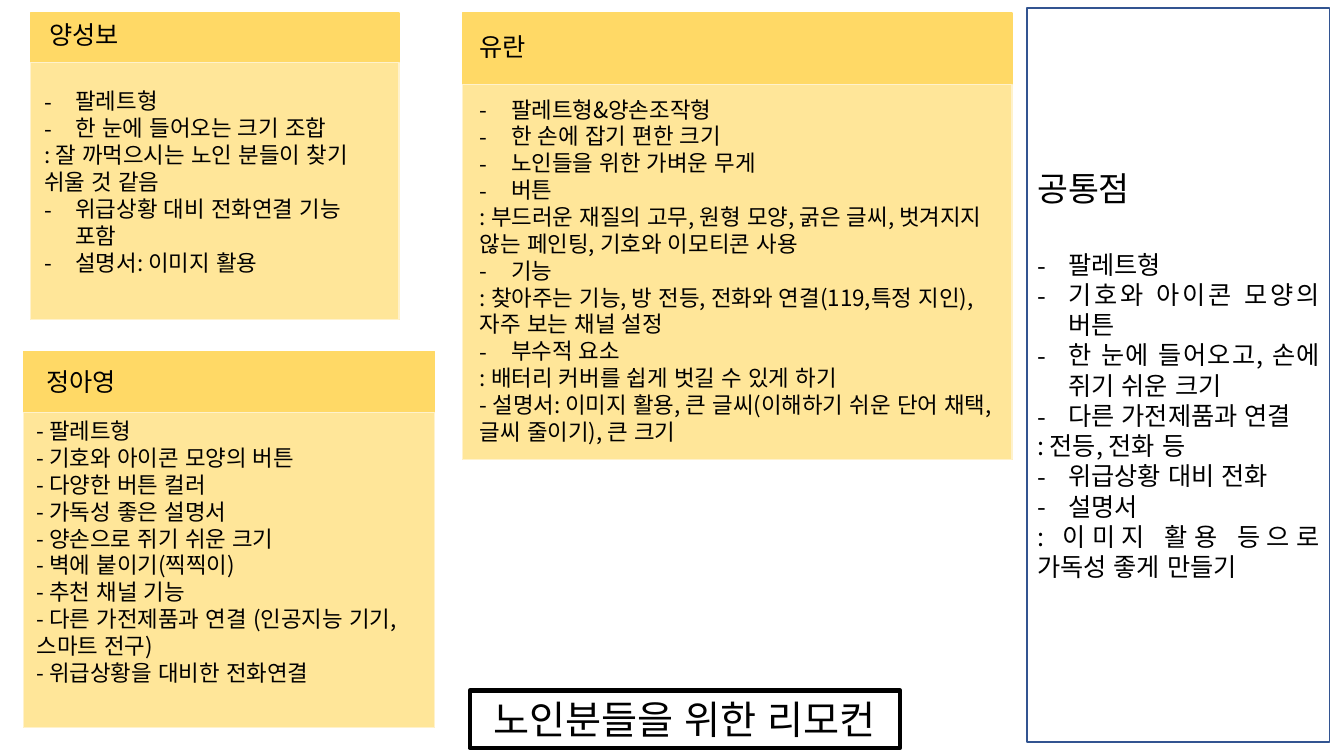
import pptx
import pptx.dml.color
import pptx.enum.lang
import pptx.enum.shapes
import pptx.enum.text
import pptx.oxml.ns
import pptx.util

RGBColor = pptx.dml.color.RGBColor
ALIGN = pptx.enum.text.PP_ALIGN
ANCHOR = pptx.enum.text.MSO_ANCHOR
RECTANGLE = pptx.enum.shapes.MSO_SHAPE.RECTANGLE

BLACK = RGBColor(0x00, 0x00, 0x00)
WHITE = RGBColor(0xFF, 0xFF, 0xFF)
GOLD = RGBColor(0xFF, 0xD9, 0x66)
SAND = RGBColor(0xFF, 0xE6, 0x99)
CREAM = RGBColor(0xFF, 0xF2, 0xCC)
NAVY = RGBColor(0x32, 0x54, 0x91)

FONT = "Noto Sans CJK KR"
LINE_HEIGHT = 1.2
WIDTH = pptx.util.Inches(13.33)
HEIGHT = pptx.util.Inches(7.5)
INDENT = pptx.util.Inches(0.31)

CARDS = [
    {
        "box": (2.25, 1.73, 27.45, 40.53), "header": 6.53,
        "name": "양성보", "name_box": (0.68, 0.13, 8.7, 5.33),
        "body_box": (0.3, 9.2, 26.78, 26.53),
        "ideas": [
            "팔레트형",
            "한 눈에 들어오는 크기 조합",
            ": 잘 까먹으시는 노인 분들이 찾기 쉬울 것 같음",
            "위급상황 대비 전화연결 기능 포함",
            "설명서: 이미지 활용",
        ],
    },
    {
        "box": (34.43, 1.73, 40.88, 59.07), "header": 9.47,
        "name": "유란", "name_box": (0.53, 1.73, 12.98, 7.87),
        "body_box": (0.53, 10.27, 39.9, 48),
        "ideas": [
            "팔레트형&양손조작형",
            "한 손에 잡기 편한 크기",
            "노인들을 위한 가벼운 무게",
            "버튼",
            ": 부드러운 재질의 고무, 원형 모양, 굵은 글씨, 벗겨지지 않는 페인팅, 기호와 이모티콘 사용",
            "기능",
            ": 찾아주는 기능, 방 전등, 전화와 연결(119,특정 지인), 자주 보는 채널 설정",
            "부수적 요소",
            ": 배터리 커버를 쉽게 벗길 수 있게 하기",
            "- 설명서: 이미지 활용, 큰 글씨(이해하기 쉬운 단어 채택, 글씨 줄이기), 큰 크기",
        ],
    },
    {
        "box": (1.73, 46.53, 30.6, 49.73), "header": 8,
        "name": "정아영", "name_box": (0.98, 1.33, 9.75, 6.67),
        "body_box": (0.25, 8, 30.2, 37.6),
        "ideas": [
            "- 팔레트형",
            "- 기호와 아이콘 모양의 버튼",
            "- 다양한 버튼 컬러",
            "- 가독성 좋은 설명서",
            "- 양손으로 쥐기 쉬운 크기",
            "- 벽에 붙이기(찍찍이)",
            "- 추천 채널 기능",
            "- 다른 가전제품과 연결 (인공지능 기기, 스마트 전구)",
            "- 위급상황을 대비한 전화연결",
        ],
    },
]

COMMON_POINTS = [
    "팔레트형",
    "기호와 아이콘 모양의 버튼",
    "한 눈에 들어오고, 손에 쥐기 쉬운 크기",
    "다른 가전제품과 연결",
    ": 전등, 전화 등",
    "위급상황 대비 전화",
    "설명서",
    ": 이미지 활용 등으로 가독성 좋게 만들기",
]


def to_slide(box):
    """Turn percentages of the slide into lengths."""
    left, top, width, height = box
    return (int(WIDTH * left / 100), int(HEIGHT * top / 100),
            int(WIDTH * width / 100), int(HEIGHT * height / 100))


def inside(box, part):
    """Move a part's box from its parent's corner to the slide's."""
    return (box[0] + part[0], box[1] + part[1], part[2], part[3])


def write(para, text, size, align=ALIGN.LEFT, dashed=False, after=0):
    """Fill a paragraph with one formatted run."""
    para.alignment = align
    para.line_spacing = pptx.util.Pt(size * LINE_HEIGHT)
    para.space_before = pptx.util.Pt(0)
    para.space_after = pptx.util.Pt(after)
    span = para.add_run()
    span.text = text
    span.font.size = pptx.util.Pt(size)
    span.font.name = FONT
    span.font.color.rgb = BLACK
    span.font.language_id = pptx.enum.lang.MSO_LANGUAGE_ID.KOREAN
    latin = span.font._element.find(pptx.oxml.ns.qn("a:latin"))
    latin.addnext(latin.makeelement(pptx.oxml.ns.qn("a:ea"), {"typeface": FONT}))
    if dashed:
        properties = para._p.get_or_add_pPr()
        properties.set("marL", str(INDENT))
        properties.set("indent", str(-INDENT))
        for tag, values in (("a:buFont", {"typeface": FONT}), ("a:buChar", {"char": "-"})):
            properties.append(properties.makeelement(pptx.oxml.ns.qn(tag), values))


def write_list(frame, items, size, align=ALIGN.LEFT):
    """Write items, hanging a dash before those without their own mark."""
    for item in items:
        para = frame.paragraphs[0]
        if para.runs:
            para = frame.add_paragraph()
        write(para, item, size, align, dashed=not item.startswith((":", "-")))


def add_panel(shapes, box, fill, line):
    """Draw a flat outlined rectangle."""
    panel = shapes.add_shape(RECTANGLE, *to_slide(box))
    panel.shadow.inherit = False
    panel.fill.solid()
    panel.fill.fore_color.rgb = fill
    panel.line.color.rgb = line
    panel.line.width = pptx.util.Pt(1)
    return panel


def add_frame(shapes, box):
    """Place a wrapping text box and return its text frame."""
    frame = shapes.add_textbox(*to_slide(box)).text_frame
    frame.word_wrap = True
    return frame


def add_card(page, box, header, name, name_box, body_box, ideas):
    """Build one person's card of ideas."""
    shapes = page.shapes.add_group_shape().shapes
    add_panel(shapes, box, GOLD, GOLD)
    add_panel(shapes, inside(box, (0, header, box[2], box[3] - header)), SAND, CREAM)
    write(add_frame(shapes, inside(box, name_box)).paragraphs[0], name, 18)
    write_list(add_frame(shapes, inside(box, body_box)), ideas, 16)


def add_summary(page, box):
    """Build the column of points in common."""
    frame = add_panel(page.shapes, box, WHITE, NAVY).text_frame
    frame.word_wrap = True
    frame.vertical_anchor = ANCHOR.MIDDLE
    write(frame.paragraphs[0], "공통점", 24, ALIGN.JUSTIFY, after=24 * LINE_HEIGHT)
    write_list(frame, COMMON_POINTS, 18, ALIGN.JUSTIFY)


def add_title(page, box):
    """Place the framed slide title."""
    title = page.shapes.title
    title.left, title.top, title.width, title.height = to_slide(box)
    title.line.color.rgb = BLACK
    title.line.width = pptx.util.Pt(3)
    frame = title.text_frame
    frame.word_wrap = False
    frame.auto_size = pptx.enum.text.MSO_AUTO_SIZE.NONE
    frame.vertical_anchor = ANCHOR.MIDDLE
    write(frame.paragraphs[0], "노인분들을 위한 리모컨", 28, ALIGN.CENTER)


def main():
    """Build and save the deck."""
    deck = pptx.Presentation()
    deck.slide_width, deck.slide_height = WIDTH, HEIGHT
    page = deck.slides.add_slide(deck.slide_layouts.get_by_name("Title Only"))
    add_title(page, (34.95, 91.33, 32.03, 7.6))
    for card in CARDS:
        add_card(page, **card)
    add_summary(page, (76.43, 1.07, 22.5, 97.07))
    deck.save("out.pptx")


if __name__ == "__main__":
    main()
